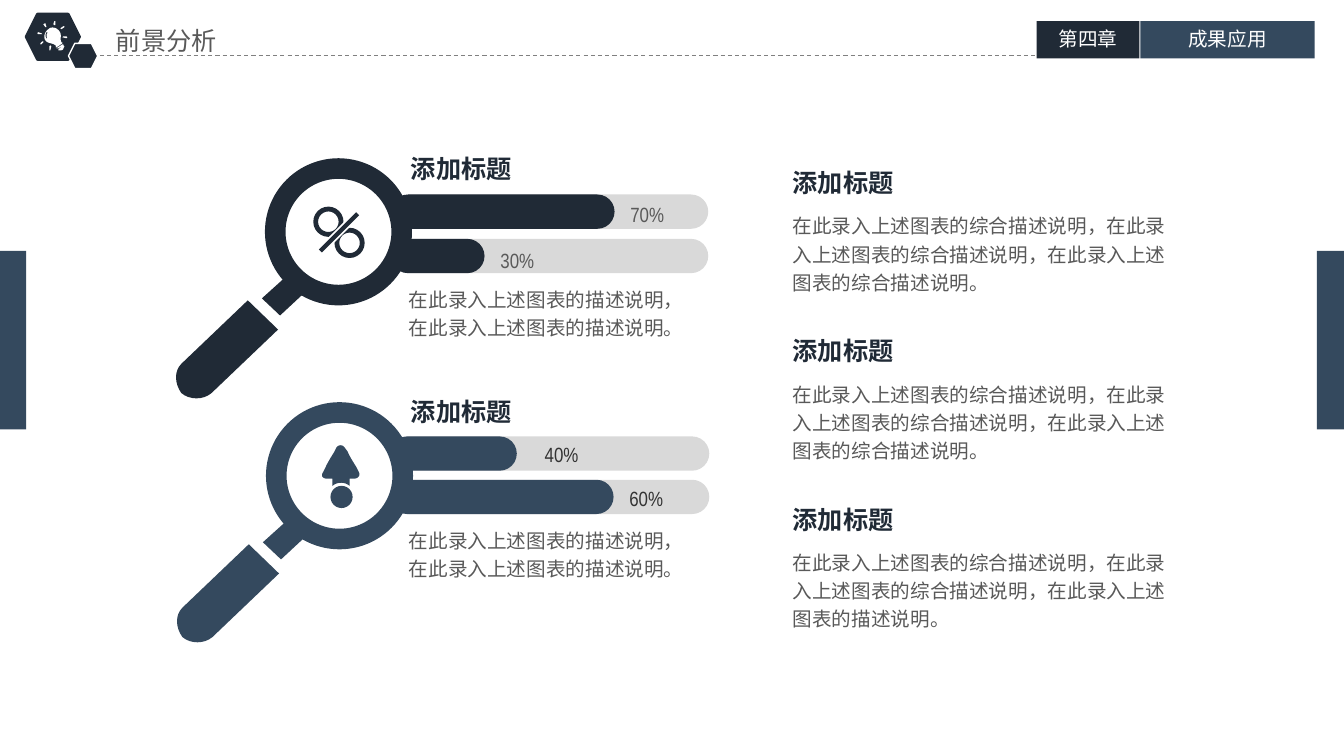
import pptx
import pptx.dml.color
import pptx.enum.dml
import pptx.enum.shapes
import pptx.enum.text
import pptx.oxml.ns
import pptx.util
from lxml import etree
from pptx.util import Inches

SHAPE = pptx.enum.shapes.MSO_SHAPE
CENTER = pptx.enum.text.PP_ALIGN.CENTER
SANS = "Noto Sans CJK SC"
NARROW = "Arial Narrow"
NAVY, STEEL, GRAY, WHITE = "202A36", "34495E", "595959", "FFFFFF"
TRACK, DARK = "D9D9D9", "333333"

BULB = [
    [(0.62, 0.42), (0.62, 0.42, 0.62, 0.43, 0.62, 0.43), (0.56, 0.47),
     (0.55, 0.47, 0.55, 0.46, 0.56, 0.46), (0.53, 0.42, 0.48, 0.44, 0.45, 0.4),
     (0.43, 0.37, 0.44, 0.32, 0.48, 0.29), (0.51, 0.26, 0.56, 0.27, 0.59, 0.31),
     (0.62, 0.35, 0.59, 0.38, 0.61, 0.42)],
    [(0.47, 0.32), (0.46, 0.32), (0.45, 0.34, 0.45, 0.36, 0.46, 0.38),
     (0.47, 0.38), (0.46, 0.36, 0.46, 0.34, 0.47, 0.33)],
    [(0.63, 0.44), (0.63, 0.45), (0.58, 0.48), (0.56, 0.48), (0.62, 0.44)],
    [(0.63, 0.45), (0.58, 0.49), (0.58, 0.5), (0.6, 0.5),
     (0.62, 0.5, 0.63, 0.49, 0.63, 0.48), (0.64, 0.46)],
]
BULB_RAYS = [
    [(0.46, 0.27), (0.46, 0.26), (0.45, 0.23), (0.43, 0.24), (0.45, 0.27)],
    [(0.41, 0.34), (0.42, 0.34), (0.41, 0.33), (0.38, 0.32), (0.37, 0.33), (0.38, 0.34)],
    [(0.43, 0.41), (0.42, 0.41), (0.4, 0.43), (0.4, 0.44), (0.41, 0.44), (0.43, 0.42)],
    [(0.49, 0.46), (0.49, 0.5), (0.5, 0.5), (0.51, 0.46), (0.5, 0.45)],
    [(0.63, 0.36), (0.62, 0.37), (0.66, 0.38), (0.67, 0.37), (0.66, 0.36)],
    [(0.63, 0.26), (0.6, 0.28), (0.61, 0.29), (0.64, 0.27), (0.64, 0.26)],
    [(0.54, 0.25), (0.55, 0.25), (0.55, 0.21), (0.54, 0.21), (0.53, 0.24)],
]
NECK = [(0.43, 1.3), (0.15, 1.56), (-0.03, 1.39), (0.27, 1.12)]
HANDLE = [(-0.17, 1.41), (-0.83, 2.04), (-0.9, 2.11, -0.9, 2.23, -0.83, 2.33),
          (-0.75, 2.4, -0.61, 2.4, -0.53, 2.33), (0.13, 1.7)]
ARROW = [(3.54, 4.64), (3.51, 4.59, 3.47, 4.53, 3.45, 4.48), (3.42, 4.44),
         (3.4, 4.41, 3.36, 4.41, 3.34, 4.44), (3.32, 4.48),
         (3.29, 4.53, 3.25, 4.59, 3.23, 4.64), (3.21, 4.68),
         (3.18, 4.72, 3.2, 4.75, 3.25, 4.75), (3.3, 4.75), (3.3, 4.82),
         (3.35, 4.78, 3.42, 4.78, 3.47, 4.82), (3.47, 4.75), (3.51, 4.75),
         (3.56, 4.75, 3.58, 4.71, 3.56, 4.68)]


def rgb(color):
    return pptx.dml.color.RGBColor.from_string(color)


def paint(shape, fill, line=None, line_width=1):
    shape.shadow.inherit = False
    shape.fill.solid()
    shape.fill.fore_color.rgb = rgb(fill)
    if line:
        shape.line.color.rgb = rgb(line)
        shape.line.width = pptx.util.Pt(line_width)
    else:
        shape.line.fill.background()


def add_preset(slide, kind, box, fill, adjustment=None, **line):
    shape = slide.shapes.add_shape(kind, *map(Inches, box))
    if adjustment is not None:
        shape.adjustments[0] = adjustment
    paint(shape, fill, **line)


def add_text(slide, text, box, size=14, color=GRAY, font=SANS, bold=None,
             align=None, spacing=None, wrap=True, inset=(0.1, 0.05)):
    shape = slide.shapes.add_textbox(*map(Inches, box))
    frame = shape.text_frame
    frame.word_wrap = wrap
    frame.auto_size = pptx.enum.text.MSO_AUTO_SIZE.SHAPE_TO_FIT_TEXT
    frame.margin_left = frame.margin_right = Inches(inset[0])
    frame.margin_top = frame.margin_bottom = Inches(inset[1])
    paragraph = frame.paragraphs[0]
    paragraph.alignment = align
    paragraph.line_spacing = spacing
    run = paragraph.add_run()
    run.text = text
    run.font.size = pptx.util.Pt(size)
    run.font.bold = bold
    run.font.name = font
    run.font.color.rgb = rgb(color)
    east_asian = etree.SubElement(run.font._element, pptx.oxml.ns.qn("a:ea"))
    east_asian.set("typeface", SANS)


def add_line(slide, start, end, color, width, dash=None):
    line = slide.shapes.add_connector(
        pptx.enum.shapes.MSO_CONNECTOR.STRAIGHT, *map(Inches, start + end))
    line.line.color.rgb = rgb(color)
    line.line.width = pptx.util.Pt(width)
    line.line.dash_style = dash
    etree.SubElement(line._element.spPr, pptx.oxml.ns.qn("a:effectLst"))


def flatten(outline, steps=8):
    points = [outline[0]]
    for segment in outline[1:]:
        if len(segment) == 2:
            points.append(segment)
            continue
        controls = [points[-1], segment[:2], segment[2:4], segment[4:]]
        for step in range(1, steps + 1):
            t = step / steps
            weights = ((1 - t) ** 3, 3 * t * (1 - t) ** 2, 3 * t * t * (1 - t), t ** 3)
            points.append(tuple(sum(weight * control[axis] for weight, control
                                    in zip(weights, controls)) for axis in (0, 1)))
    return points


def add_outline(slide, contours, fill, left=0, top=0):
    builder = None
    for contour in contours:
        points = [(Inches(left + x), Inches(top + y)) for x, y in flatten(contour)]
        if builder is None:
            builder = slide.shapes.build_freeform(*points[0])
        else:
            builder.move_to(*points[0])
        builder.add_line_segments(points[1:], close=True)
    paint(builder.convert_to_shape(), fill)


def add_bar(slide, track_left, left, top, width, label, color, label_color,
            label_shift, label_width=0.71):
    add_preset(slide, SHAPE.ROUNDED_RECTANGLE, (track_left, top, 3.15, 0.34), TRACK, 0.5)
    add_preset(slide, SHAPE.ROUNDED_RECTANGLE, (left, top, width, 0.34), color, 0.5)
    add_text(slide, label, (left + width - 0.03, top + label_shift, label_width, 0.4),
             size=14.7, color=label_color, font=NARROW, align=CENTER, spacing=1.2)


def add_magnifier(slide, left, top, color):
    add_outline(slide, [NECK], color, left, top)
    add_preset(slide, SHAPE.DONUT, (left, top, 1.46, 1.46), color, 0.14)
    add_outline(slide, [HANDLE], color, left, top)


def add_percent_icon(slide):
    for left, top in ((3.11, 2.05), (3.32, 2.26)):
        add_preset(slide, SHAPE.DONUT, (left, top, 0.3, 0.3), NAVY, 0.16)
    for color, width in ((WHITE, 5.5), (NAVY, 3)):
        add_line(slide, (3.18, 2.49), (3.55, 2.12), color, width)


def add_heading(slide, left, top, font=SANS):
    add_text(slide, "添加标题", (left, top, 1.21, 0.4), size=18, color=NAVY,
             font=font, bold=True, wrap=False)


def add_header(slide):
    tight = (0.07, 0.04)
    add_text(slide, "前景分析", (1.08, 0.21, 2.05, 0.38), size=18, inset=tight)
    add_preset(slide, SHAPE.HEXAGON, (0.26, 0.14, 0.53, 0.45), NAVY, line=NAVY, line_width=2)
    add_line(slide, (0.92, 0.55), (10.29, 0.55), "808080", 0.75,
             pptx.enum.dml.MSO_LINE.DASH)
    for text, left, width, color in (("第四章", 10.29, 1.02, NAVY),
                                     ("成果应用", 11.32, 1.73, STEEL)):
        add_preset(slide, SHAPE.RECTANGLE, (left, 0.21, width, 0.37), color)
        add_text(slide, text, (left, 0.23, width, 0.31), color=WHITE,
                 align=CENTER, inset=tight)
    add_preset(slide, SHAPE.HEXAGON, (0.68, 0.43, 0.29, 0.25), NAVY, line=WHITE)
    add_outline(slide, BULB + BULB_RAYS, WHITE)


def main():
    presentation = pptx.Presentation()
    presentation.slide_width = Inches(13.34)
    presentation.slide_height = Inches(7.5)
    slide = presentation.slides.add_slide(presentation.slide_layouts[6])

    add_header(slide)
    for left in (-0.03, 13.07):
        add_preset(slide, SHAPE.RECTANGLE, (left, 2.49, 0.29, 1.77), STEEL)

    add_bar(slide, 3.88, 3.88, 1.93, 2.22, "70%", NAVY, GRAY, -0.02)
    add_bar(slide, 3.88, 3.88, 2.37, 0.93, "30%", NAVY, GRAY, -0.01)
    add_bar(slide, 3.89, 3.87, 4.33, 1.26, "40%", STEEL, DARK, -0.04, 0.95)
    add_bar(slide, 3.89, 3.87, 4.76, 2.22, "60%", STEEL, DARK, -0.04)

    add_magnifier(slide, 2.63, 1.57, NAVY)
    add_percent_icon(slide)
    add_magnifier(slide, 2.64, 3.99, STEEL)
    add_outline(slide, [ARROW], STEEL)
    add_preset(slide, SHAPE.OVAL, (3.28, 4.82, 0.22, 0.22), STEEL)

    summary = "在此录入上述图表的综合描述说明，"
    endings = ("综合描述说明。", "综合描述说明。", "描述说明。")
    for row, ending in enumerate(endings):
        top = 1.61 + row * 1.67
        add_heading(slide, 7.77, top)
        add_text(slide, summary * 2 + "在此录入上述图表的" + ending,
                 (7.77, top + 0.42, 3.96, 0.95), spacing=1.2)

    for heading_top, text_top in ((1.47, 2.76), (3.88, 5.15)):
        add_heading(slide, 3.98, heading_top, NARROW)
        add_text(slide, "在此录入上述图表的描述说明，在此录入上述图表的描述说明。",
                 (3.96, text_top, 3.08, 0.67), font=NARROW, spacing=1.2)

    presentation.save("out.pptx")


if __name__ == "__main__":
    main()
